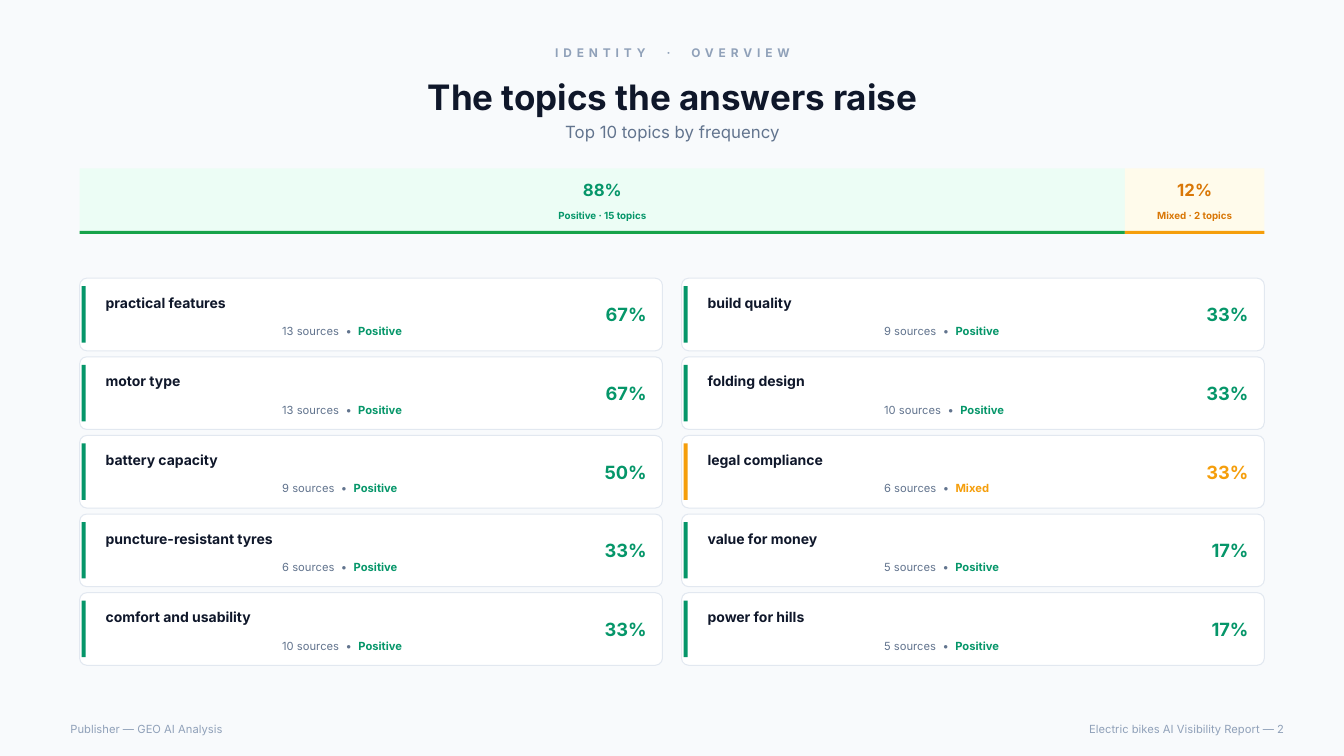
from pptx import Presentation
from pptx.dml.color import RGBColor
from pptx.enum.shapes import MSO_SHAPE as Shape
from pptx.enum.text import MSO_ANCHOR as Anchor, MSO_AUTO_SIZE as AutoSize, PP_ALIGN as Align
from pptx.util import Inches, Pt

WIDTH, HEIGHT = 13.33, 7.5
HEAD_LEFT, HEAD_WIDTH = 0.6, 12.14
GRID_LEFT, GRID_WIDTH = 0.79, 11.75
GRID_TOP, CARD_HEIGHT, ROW_GAP, COLUMN_GAP = 2.76, 0.72, 0.06, 0.19
ROWS = 5
CARD_WIDTH = (GRID_WIDTH - COLUMN_GAP) / 2

INK, SLATE, MUTED = "0F172A", "62748E", "90A1B9"
TONES = {"Positive": "059669", "Mixed": "F59E0B"}

# share, tone, topics, text colour, tint, rule colour
SEGMENTS = [
    ("88%", "Positive", 15, "059669", "ECFDF5", "16A34A"),
    ("12%", "Mixed", 2, "D97706", "FFFBEB", "F59E0B"),
]
TOPICS = [
    ("practical features", 13, "Positive", "67%"),
    ("motor type", 13, "Positive", "67%"),
    ("battery capacity", 9, "Positive", "50%"),
    ("puncture-resistant tyres", 6, "Positive", "33%"),
    ("comfort and usability", 10, "Positive", "33%"),
    ("build quality", 9, "Positive", "33%"),
    ("folding design", 10, "Positive", "33%"),
    ("legal compliance", 6, "Mixed", "33%"),
    ("value for money", 5, "Positive", "17%"),
    ("power for hills", 5, "Positive", "17%"),
]


def color(hex_code):
    return RGBColor.from_string(hex_code)


def inches(*lengths):
    return [Inches(length) for length in lengths]


def write(box, runs, align=Align.LEFT, anchor=Anchor.MIDDLE, wrap=True):
    """Fill a box with one paragraph of (text, size, colour, bold, spacing) runs."""
    frame = box.text_frame
    frame.auto_size = AutoSize.NONE
    frame.word_wrap = wrap
    frame.vertical_anchor = anchor
    paragraph = frame.paragraphs[0]
    paragraph.alignment = align
    for text, size, ink, bold, spacing in runs:
        run = paragraph.add_run()
        run.text = text
        run.font.name = "Inter"
        run.font.size = Pt(size)
        run.font.bold = bold
        run.font.color.rgb = color(ink)
        if spacing:
            run.font._element.set("spc", str(round(spacing * 100)))


def add_label(slide, area, text, size, ink, bold=False, **layout):
    write(slide.shapes.add_textbox(*inches(*area)), [(text, size, ink, bold, 0)], **layout)


def separated(before, mark, after, gap):
    """Join two runs by a mark whose spaces are widened to the gap in points."""
    _, size, ink, bold, spacing = before
    space = (" ", size, ink, bold, gap)
    return [before, space, (mark, size, ink, bold, spacing), space, after]


def add_block(slide, area, fill, outline=None, radius=0):
    kind = Shape.ROUNDED_RECTANGLE if radius else Shape.RECTANGLE
    block = slide.shapes.add_shape(kind, *inches(*area))
    block.shadow.inherit = False
    block.fill.solid()
    block.fill.fore_color.rgb = color(fill)
    if radius:
        block.adjustments[0] = radius / min(area[2:])
    if outline:
        block.line.color.rgb = color(outline)
        block.line.width = Pt(0.75)
    else:
        block.line.fill.background()


def add_heading(slide):
    kicker = slide.shapes.add_textbox(*inches(HEAD_LEFT, 0.4, HEAD_WIDTH, 0.25))
    style = (8.5, MUTED, True, 3.5)
    write(kicker, separated(("IDENTITY", *style), "·", ("OVERVIEW", *style), 9.4), Align.CENTER)

    title = slide.shapes.title
    title.left, title.top, title.width, title.height = inches(HEAD_LEFT, 0.68, HEAD_WIDTH, 0.56)
    write(title, [("The topics the answers raise", 25, INK, True, 0)], Align.CENTER)
    add_label(slide, (HEAD_LEFT, 1.18, HEAD_WIDTH, 0.25), "Top 10 topics by frequency",
              12, SLATE, align=Align.CENTER)


def add_sentiment_bar(slide):
    total = sum(segment[2] for segment in SEGMENTS)
    left = GRID_LEFT
    for share, tone, topics, ink, tint, rule in SEGMENTS:
        width = GRID_WIDTH * topics / total
        add_block(slide, (left, 1.67, width, 0.65), tint)
        add_block(slide, (left, 2.29, width, 0.03), rule)
        add_label(slide, (left, 1.74, width, 0.28), share, 12, ink, True, align=Align.CENTER)
        add_label(slide, (left, 2.03, width, 0.22), f"{tone} · {topics} topics",
                  7, ink, True, align=Align.CENTER)
        left += width


def add_topic_card(slide, left, top, topic, sources, tone, share):
    accent = TONES[tone]
    add_block(slide, (left, top, CARD_WIDTH, CARD_HEIGHT), "FFFFFF", "E2E8F0", radius=0.07)
    add_block(slide, (left + 0.02, top + 0.08, 0.04, CARD_HEIGHT - 0.16), accent)
    add_label(slide, (left + 0.16, top + 0.11, 4.53, 0.27), topic, 10, INK, True,
              anchor=Anchor.TOP)
    detail = slide.shapes.add_textbox(*inches(left + 1.91, top + 0.41, 2.79, 0.22))
    write(detail, separated((f"{sources} sources", 8, SLATE, False, 0), "•",
                            (tone, 8, accent, True, 0), 2.25), anchor=Anchor.TOP)
    add_label(slide, (left + CARD_WIDTH - 0.78, top, 0.72, CARD_HEIGHT), share, 13, accent, True,
              align=Align.RIGHT, wrap=False)


def add_footer(slide):
    half = HEAD_WIDTH / 2
    add_label(slide, (HEAD_LEFT, 7.12, half, 0.22), "Publisher — GEO AI Analysis", 8, MUTED)
    add_label(slide, (HEAD_LEFT + 0.1 + half, 7.12, half, 0.22),
              "Electric bikes AI Visibility Report — 2", 8, MUTED, align=Align.RIGHT)


def main():
    deck = Presentation()
    deck.slide_width, deck.slide_height = inches(WIDTH, HEIGHT)
    slide = deck.slides.add_slide(deck.slide_layouts.get_by_name("Title Only"))
    slide.background.fill.solid()
    slide.background.fill.fore_color.rgb = color("F8FAFC")

    add_heading(slide)
    add_sentiment_bar(slide)
    for index, topic in enumerate(TOPICS):
        column, row = divmod(index, ROWS)
        add_topic_card(slide, GRID_LEFT + column * (CARD_WIDTH + COLUMN_GAP),
                       GRID_TOP + row * (CARD_HEIGHT + ROW_GAP), *topic)
    add_footer(slide)
    deck.save("out.pptx")


if __name__ == "__main__":
    main()
